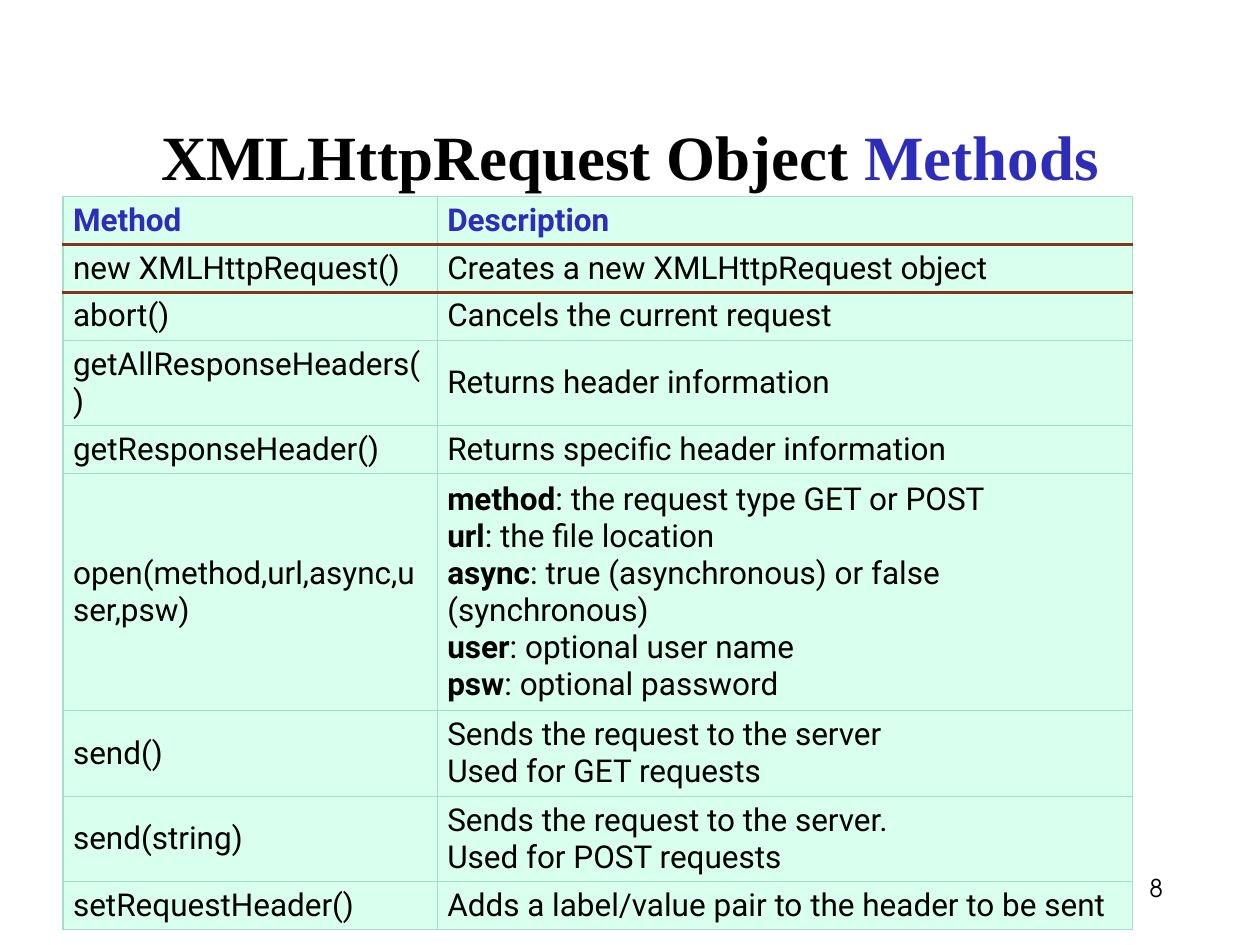
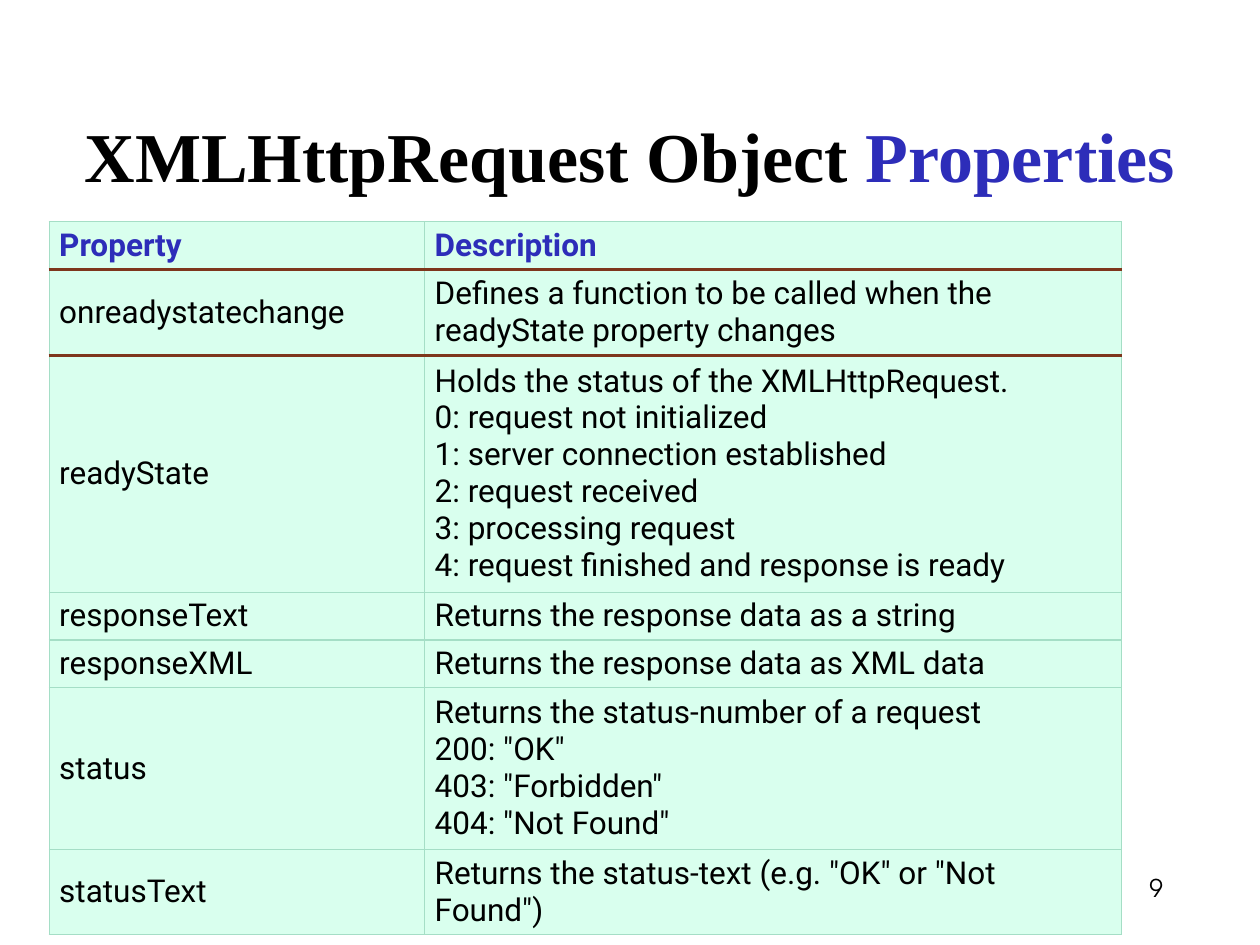
"""Build two reference slides on the XMLHttpRequest object."""
from lxml import etree
from pptx import Presentation
from pptx import util as u
from pptx.dml import color
from pptx.enum import text
from pptx.oxml import ns

COLOURS = {
    "ink": "000000",
    "accent": "2D2DB9",
    "mint": "D9FFEE",
    "grid": "A5DEC6",
    "rule": "7E361C",
}
TITLE_FONT, BODY_FONT, NUMBER_FONT = "Times New Roman", "Roboto", "TeX Gyre Adventor"

METHODS = [
    ("Method", "Description", 0.34),
    ("new XMLHttpRequest()", "Creates a new XMLHttpRequest object", 0.34),
    ("abort()", "Cancels the current request", 0.34),
    ("getAllResponseHeaders()", "Returns header information", 0.34),
    ("getResponseHeader()", "Returns specific header information", 0.34),
    ("open(method,url,async,user,psw)", [
        ("method", ": the request type GET or POST"),
        ("url", ": the file location"),
        ("async", ": true (asynchronous) or false (synchronous)"),
        ("user", ": optional user name"),
        ("psw", ": optional password"),
    ], 1.85),
    ("send()", "Sends the request to the server\nUsed for GET requests", 0.59),
    ("send(string)", "Sends the request to the server.\nUsed for POST requests", 0.59),
    ("setRequestHeader()", "Adds a label/value pair to the header to be sent", 0.34),
]
PROPERTIES = [
    ("Property", "Description", 0.35),
    ("onreadystatechange",
     "Defines a function to be called when the readyState property changes", 0.61),
    ("readyState",
     "Holds the status of the XMLHttpRequest.\n"
     "0: request not initialized\n"
     "1: server connection established\n"
     "2: request received\n"
     "3: processing request\n"
     "4: request finished and response is ready", 1.66),
    ("responseText", "Returns the response data as a string", 0.35),
    ("responseXML", "Returns the response data as XML data", 0.35),
    ("status",
     "Returns the status-number of a request\n"
     '200: "OK"\n403: "Forbidden"\n404: "Not Found"', 1.28),
    ("statusText", 'Returns the status-text (e.g. "OK" or "Not Found")', 0.35),
]


class Sheet:
    """Hold the shared style and the current slide."""

    def __init__(self, deck):
        self.deck = deck
        self.page = None

    def new_page(self, number):
        self.page = self.deck.slides.add_slide(self.deck.slide_layouts[6])
        para = self.text_box(8.9, 6.76, 0.55, 0.61)
        para.line_spacing = 1.5
        para.text = str(number)
        self.style(para.runs[0], NUMBER_FONT, 14)

    def style(self, span, font, size, colour="ink", bold=False):
        span.font.name = font
        span.font.size = u.Pt(size)
        span.font.bold = bold
        span.font.color.rgb = color.RGBColor.from_string(COLOURS[colour])

    def add_span(self, para, words, *look):
        span = para.add_run()
        span.text = words
        self.style(span, *look)

    def text_box(self, left, top, width, height, inset_top=0.05):
        box = self.page.shapes.add_textbox(*map(u.Inches, (left, top, width, height)))
        frame = box.text_frame
        frame.word_wrap = True
        frame.vertical_anchor = text.MSO_ANCHOR.TOP
        frame.margin_top = u.Inches(inset_top)
        para = frame.paragraphs[0]
        para.alignment = text.PP_ALIGN.CENTER
        return para

    def title(self, topic, top, height, size):
        para = self.text_box(0.5, top, 9, height, inset_top=0.12)
        self.add_span(para, "XMLHttpRequest Object ", TITLE_FONT, size, "ink", True)
        self.add_span(para, topic, TITLE_FONT, size, "accent", True)

    def border(self, cell, ruled):
        sides = {"lnL": "grid", "lnR": "grid", "lnT": "grid",
                 "lnB": "rule" if ruled else "grid"}
        props = cell._tc.get_or_add_tcPr()
        for place, (side, colour) in enumerate(sides.items()):
            width = u.Pt(2.25 if colour == "rule" else 0.75)
            line = etree.Element(ns.qn(f"a:{side}"), w=str(int(width)))
            fill = etree.SubElement(line, ns.qn("a:solidFill"))
            etree.SubElement(fill, ns.qn("a:srgbClr"), val=COLOURS[colour])
            props.insert(place, line)

    def fill_cell(self, cell, content, header, ruled):
        cell.fill.solid()
        cell.fill.fore_color.rgb = color.RGBColor.from_string(COLOURS["mint"])
        cell.vertical_anchor = text.MSO_ANCHOR.MIDDLE
        cell.margin_left = cell.margin_right = u.Inches(0.08)
        cell.margin_top = cell.margin_bottom = u.Inches(0.04)
        para = cell.text_frame.paragraphs[0]
        if isinstance(content, str):
            para.text = content
            for span in para.runs:
                self.style(span, BODY_FONT, 18, "accent" if header else "ink", header)
        else:
            for index, (label, meaning) in enumerate(content):
                if index:
                    para.add_line_break()
                self.add_span(para, label, BODY_FONT, 18, "ink", True)
                self.add_span(para, meaning, BODY_FONT, 18)
        self.border(cell, ruled)

    def table(self, left, top, widths, rows):
        height = sum(row[2] for row in rows)
        table = self.page.shapes.add_table(
            len(rows), len(widths),
            *map(u.Inches, (left, top, sum(widths), height))).table
        table.first_row = table.horz_banding = False
        for column, width in zip(table.columns, widths):
            column.width = u.Inches(width)
        for index, (name, description, row_height) in enumerate(rows):
            table.rows[index].height = u.Inches(row_height)
            for cell, content in zip(table.rows[index].cells, (name, description)):
                self.fill_cell(cell, content, header=index == 0, ruled=index < 2)


def main():
    deck = Presentation()
    deck.slide_width, deck.slide_height = u.Inches(10), u.Inches(7.5)
    sheet = Sheet(deck)

    sheet.new_page(8)
    sheet.title("Methods", 0.81, 0.86, 36)
    sheet.table(0.5, 1.56, (2.97, 5.52), METHODS)

    sheet.new_page(9)
    sheet.title("Properties", 0.77, 1.25, 40)
    sheet.table(0.39, 1.76, (2.98, 5.53), PROPERTIES)

    deck.save("out.pptx")


if __name__ == "__main__":
    main()
